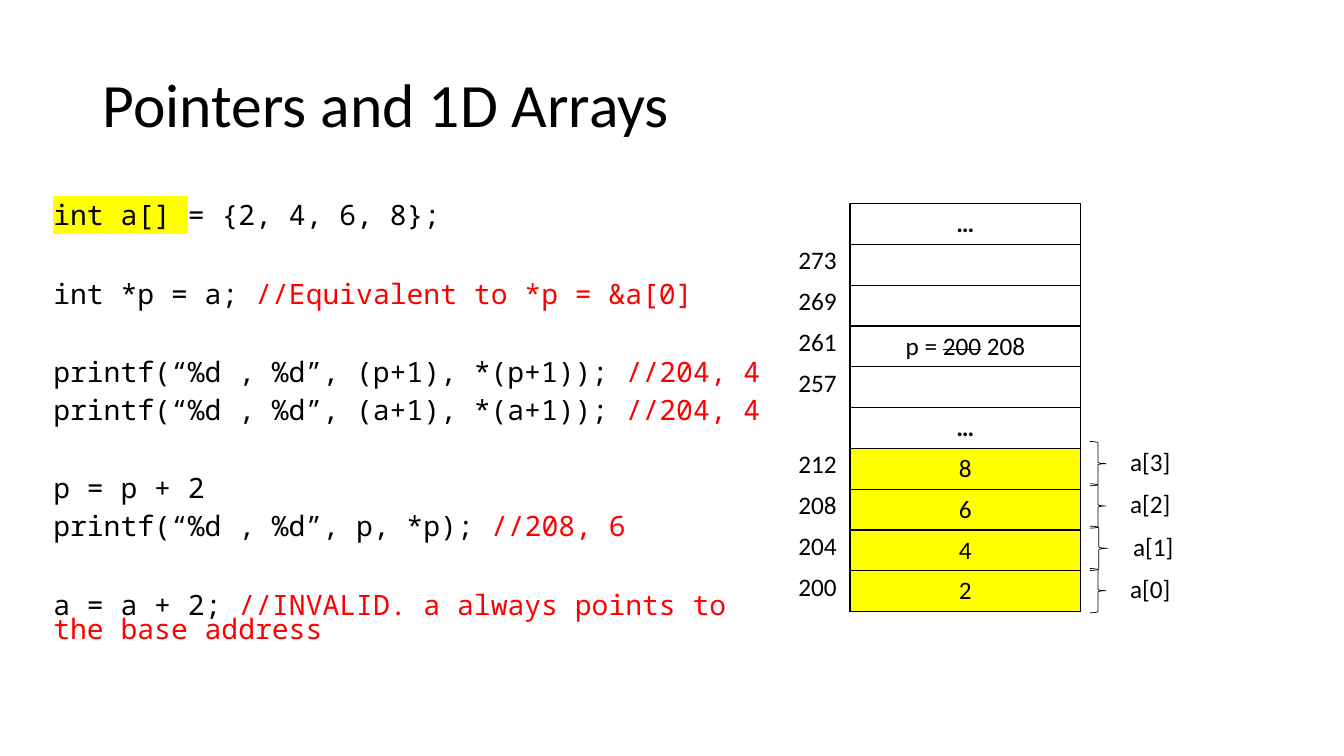
from lxml.etree import SubElement
from pptx import Presentation
from pptx.dml.color import RGBColor as Rgb
from pptx.enum.shapes import MSO_SHAPE as Shape
from pptx.enum.text import MSO_ANCHOR as Anchor, PP_ALIGN as Align
from pptx.oxml.ns import qn
from pptx.util import Inches, Pt

BLACK, RED, YELLOW = "000000", "FF0000", "FFFF00"
SANS, MONO = "Calibri", "Noto Sans Mono"
PITCH = 4.05 / 10

CODE = [
    (10, "int a[] ", "= {2, 4, 6, 8};", ""),
    (39, "", "int *p = a; ", "//Equivalent to *p = &a[0]"),
    (39, "", "printf(“%d , %d”, (p+1), *(p+1)); ", "//204, 4"),
    (10, "", "printf(“%d , %d”, (a+1), *(a+1)); ", "//204, 4"),
    (39, "", "p = p + 2", ""),
    (10, "", "printf(“%d , %d”, p, *p); ", "//208, 6"),
    (39, "", "a = a + 2; ", "//INVALID. a always points to the base address"),
]
CELLS = ["…", "", "", "p = 200 208", "", "…", "8", "6", "4", "2"]
MARKS = ["", "273", "269", "261", "257", "", "212", "208", "204", "200"]
ITEMS = [("a[3]", 0), ("a[2]", 0), ("a[1]", 0.03), ("a[0]", 0)]


def paint(tone):
    return Rgb.from_string(tone)


def style(run, size, face=SANS, tone=BLACK, bold=False):
    font = run.font
    font.size, font.name, font.bold = Pt(size), face, bold
    font.color.rgb = paint(tone)


def add_text(slide, box, text="", size=18):
    frame = slide.shapes.add_textbox(*map(Inches, box)).text_frame
    frame.word_wrap = True
    frame.text = text
    for run in frame.paragraphs[0].runs:
        style(run, size)
    return frame


def add_title(slide, box):
    frame = add_text(slide, box, "Pointers and 1D Arrays", 44)
    frame.vertical_anchor = Anchor.MIDDLE
    frame.paragraphs[0].line_spacing = 0.9


def mark(run, tone):
    props = run._r.get_or_add_rPr()
    light = SubElement(props, qn("a:highlight"))
    SubElement(light, qn("a:srgbClr"), val=tone)
    props.find(qn("a:solidFill")).addnext(light)


def add_code(slide, box):
    frame = add_text(slide, box)
    for row, (gap, lit, plain, note) in enumerate(CODE):
        para = frame.add_paragraph() if row else frame.paragraphs[0]
        para.line_spacing, para.space_before = 0.71, Pt(gap)
        for text, tone in ((lit, BLACK), (plain, BLACK), (note, RED)):
            if text:
                run = para.add_run()
                run.text = text
                style(run, 20, MONO, tone)
                if text == lit:
                    mark(run, YELLOW)


def edge(cell):
    props = cell._tc.get_or_add_tcPr()
    for side in ("lnL", "lnR", "lnT", "lnB"):
        line = SubElement(props, qn("a:" + side), w=str(Pt(1)))
        fill = SubElement(line, qn("a:solidFill"))
        SubElement(fill, qn("a:srgbClr"), val=BLACK)


def add_cells(slide, box):
    left, top, width, high = box
    grid = slide.shapes.add_table(len(CELLS), 1, *map(Inches, box)).table
    grid.first_row = grid.horz_banding = False
    for row, text in enumerate(CELLS):
        grid.rows[row].height = Inches(high / len(CELLS))
        cell = grid.cell(row, 0)
        edge(cell)
        if text.isdigit():
            cell.fill.solid()
            cell.fill.fore_color.rgb = paint(YELLOW)
        else:
            cell.fill.background()
        para = cell.text_frame.paragraphs[0]
        para.alignment = Align.CENTER
        para.font.size = Pt(18)
        for part in text.partition("200"):
            if part:
                run = para.add_run()
                run.text = part
                style(run, 18, bold=part == "…")
                if part == "200":
                    run._r.get_or_add_rPr().set("strike", "sngStrike")


def add_marks(slide, box):
    left, top, width, high = box
    for row, text in enumerate(MARKS):
        if text:
            add_text(slide, (left, top + row * PITCH, width, high), text)


def add_items(slide, box):
    left, top, width, high = box
    step = high / len(ITEMS)
    for row, (text, shift) in enumerate(ITEMS):
        y = top + row * step
        spot = (left, y, 0.16 + shift / 2, 0.44)
        brace = slide.shapes.add_shape(Shape.RIGHT_BRACE, *map(Inches, spot))
        brace.shadow.inherit = False
        brace.fill.background()
        brace.line.color.rgb = paint(BLACK)
        brace.line.width = Pt(0.5)
        add_text(slide, (left + 0.3 + shift, y, width - 0.3, 0.4), text)


deck = Presentation()
deck.slide_width, deck.slide_height = Inches(13.33), Inches(7.5)
slide = deck.slides.add_slide(deck.slide_layouts[6])
add_title(slide, (0.92, 0.34, 11.5, 1.45))
add_code(slide, (0.43, 2, 7.22, 4.76))
add_cells(slide, (8.43, 2.02, 2.29, 4.05))
add_marks(slide, (7.82, 1.97, 0.61, 0.4))
add_items(slide, (10.81, 4.38, 1.03, 1.68))
deck.save("out.pptx")
